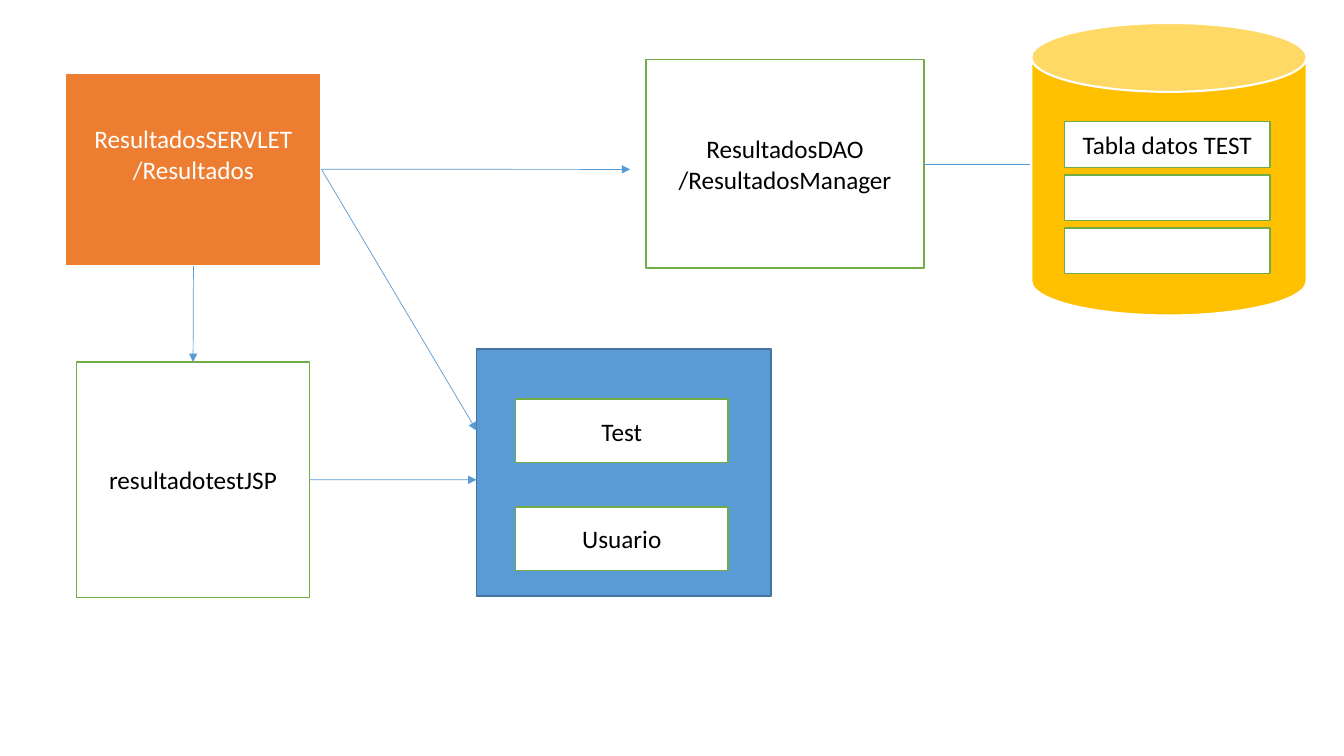
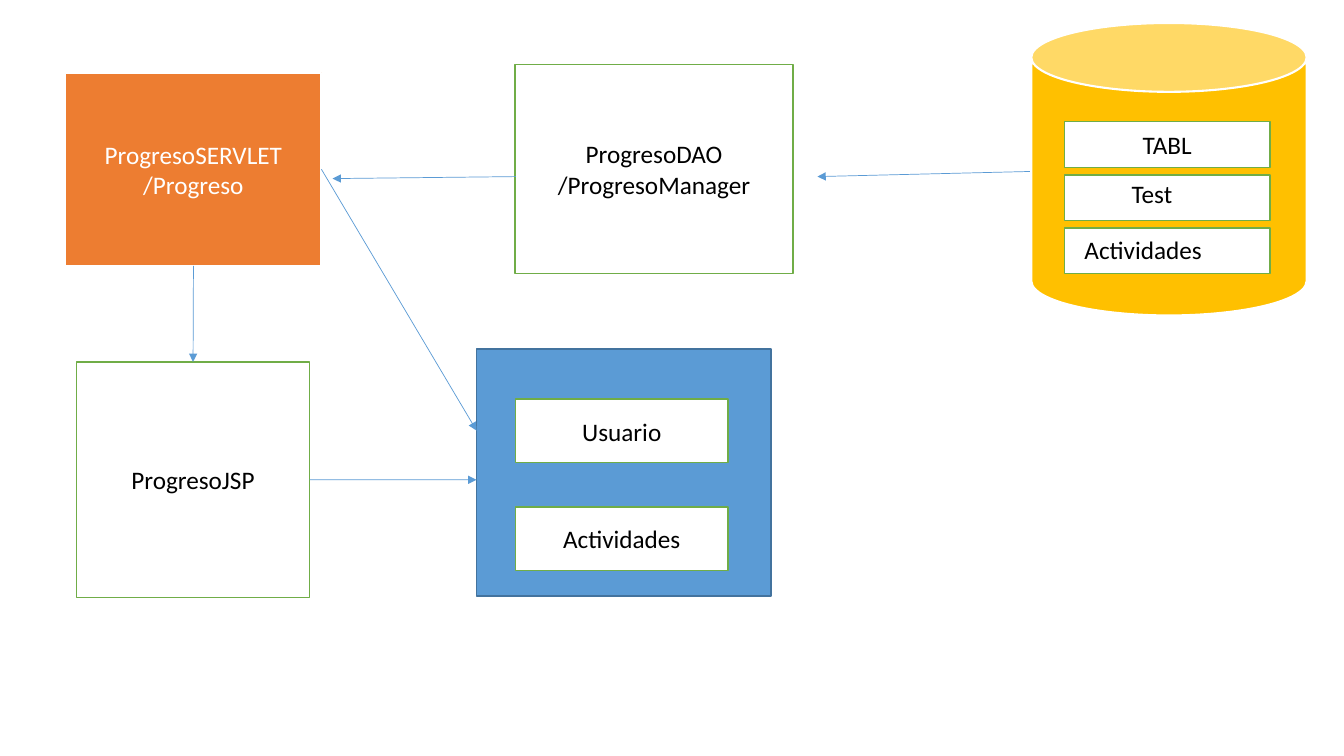
import pptx
import pptx.dml.color
import pptx.enum.shapes
import pptx.enum.text
import pptx.oxml.ns
import pptx.oxml.xmlchemy
import pptx.util

Cm = pptx.util.Cm
Pt = pptx.util.Pt
RGBColor = pptx.dml.color.RGBColor
SHAPES = pptx.enum.shapes.MSO_SHAPE
ALIGN = pptx.enum.text.PP_ALIGN
ANCHOR = pptx.enum.text.MSO_ANCHOR
qn = pptx.oxml.ns.qn
OxmlElement = pptx.oxml.xmlchemy.OxmlElement

WHITE = RGBColor(0xFF, 0xFF, 0xFF)
BLACK = RGBColor(0, 0, 0)
ORANGE = RGBColor(0xED, 0x7D, 0x31)
GREEN = RGBColor(0x70, 0xAD, 0x47)
BLUE = RGBColor(0x5B, 0x9B, 0xD5)
DARK_BLUE = RGBColor(0x43, 0x73, 0x9E)
GOLD = RGBColor(0xFF, 0xC0, 0x00)

# Each style: fill, line colour, line width, text colour
PLAIN = (WHITE, GREEN, 1, BLACK)
SERVLET = (ORANGE, WHITE, 1.5, WHITE)
MODEL = (BLUE, DARK_BLUE, 1, BLACK)
DATABASE = (GOLD, WHITE, 1.5, BLACK)

TOP, LEFT, BOTTOM, RIGHT = range(4)
DAO_SIZE = (7.01, 5.26)
ROW_LEFT, ROW_TOP, ROW_WIDTH, ROW_HEIGHT, ROW_STEP = 26.82, 3.07, 5.19, 1.15, 1.34
ITEM_LEFT, ITEM_TOP, ITEM_WIDTH, ITEM_HEIGHT, ITEM_STEP = 12.99, 10.06, 5.36, 1.6, 2.72


def write_lines(frame, lines, color, align, anchor):
    for name, value in {"word_wrap": True, "vertical_anchor": anchor}.items():
        setattr(frame, name, value)
    for index, line in enumerate(lines):
        para = frame.add_paragraph() if index else frame.paragraphs[0]
        para.alignment = align
        span = para.add_run()
        span.text = line
        for name, value in {"name": "Calibri", "size": Pt(18)}.items():
            setattr(span.font, name, value)
        span.font.color.rgb = color


def add_box(page, place, style=PLAIN, lines=(), kind=SHAPES.RECTANGLE):
    fill, line, width, text_color = style
    box = page.shapes.add_shape(kind, *map(Cm, place))
    box.shadow.inherit = False
    box.fill.solid()
    box.fill.fore_color.rgb = fill
    box.line.color.rgb = line
    box.line.width = Pt(width)
    write_lines(box.text_frame, lines, text_color, ALIGN.CENTER, ANCHOR.MIDDLE)
    return box


def add_label(page, place, text):
    box = page.shapes.add_textbox(*map(Cm, place))
    write_lines(box.text_frame, [text], BLACK, ALIGN.LEFT, ANCHOR.TOP)


def is_point(target):
    return isinstance(target[0], (int, float))


def add_arrow(page, start, end):
    """Draw an arrow; each end is an (x, y) point or a (box, side) pair."""
    points = [target if is_point(target) else (0, 0) for target in (start, end)]
    arrow = page.shapes.add_connector(
        pptx.enum.shapes.MSO_CONNECTOR.STRAIGHT,
        *(Cm(value) for point in points for value in point))
    for target, join in ((start, arrow.begin_connect), (end, arrow.end_connect)):
        if not is_point(target):
            join(*target)
    arrow.line.color.rgb = BLUE
    arrow.line.width = Pt(0.5)
    properties = arrow._element.spPr
    head = OxmlElement("a:tailEnd")
    head.set("type", "triangle")
    properties.find(qn("a:ln")).append(head)
    properties.append(OxmlElement("a:effectLst"))


def add_database(page, rows):
    add_box(page, (25.99, 0.58, 6.94, 7.37), DATABASE, kind=SHAPES.CAN)
    for index, lines in enumerate(rows):
        add_box(page, (ROW_LEFT, ROW_TOP + index * ROW_STEP, ROW_WIDTH, ROW_HEIGHT),
                lines=lines)


def add_flow(page, servlet_lines, jsp_name, model_items):
    """Draw the servlet, its JSP page and the model they use; return the servlet."""
    servlet = add_box(page, (1.65, 1.83, 6.45, 4.87), SERVLET, servlet_lines)
    jsp = add_box(page, (1.93, 9.12, 5.87, 5.94), lines=[jsp_name])
    add_box(page, (12.01, 8.8, 7.42, 6.22), MODEL)
    for index, item in enumerate(model_items):
        add_box(page, (ITEM_LEFT, ITEM_TOP + index * ITEM_STEP, ITEM_WIDTH, ITEM_HEIGHT),
                lines=[item])
    add_arrow(page, (servlet, BOTTOM), (jsp, TOP))
    add_arrow(page, (jsp, RIGHT), (12.01, 12.09))
    add_arrow(page, (servlet, RIGHT), (12.01, 10.85))
    return servlet


def build_results(page):
    servlet = add_flow(page, ["ResultadosSERVLET", "/Resultados"],
                       "resultadotestJSP", ["Test", "Usuario"])
    servlet.text_frame.margin_bottom = Cm(0.9)
    dao = add_box(page, (16.28, 1.5, *DAO_SIZE),
                  lines=["ResultadosDAO", "/ResultadosManager"])
    add_arrow(page, (servlet, RIGHT), (15.88, 4.27))
    add_arrow(page, (dao, RIGHT), (29.18, 4.13))
    add_database(page, [["Tabla datos TEST"], [], []])


def build_progress(page):
    add_flow(page, ["ProgresoSERVLET", "/Progreso"],
             "ProgresoJSP", ["Usuario", "Actividades"])
    add_box(page, (12.98, 1.63, *DAO_SIZE), lines=["ProgresoDAO", "/ProgresoManager"])
    add_arrow(page, (13, 4.45), (8.38, 4.5))
    add_arrow(page, (25.99, 4.32), (20.6, 4.45))
    add_database(page, [["TABL"], [], []])
    add_label(page, (28.27, 4.37, 4.93, 1.02), "Test")
    add_label(page, (27.08, 5.79, 4.93, 1.02), "Actividades")


def main():
    deck = pptx.Presentation()
    deck.slide_width, deck.slide_height = Cm(33.87), Cm(19.05)
    for build in (build_results, build_progress):
        build(deck.slides.add_slide(deck.slide_layouts[6]))
    deck.save("out.pptx")


if __name__ == "__main__":
    main()
